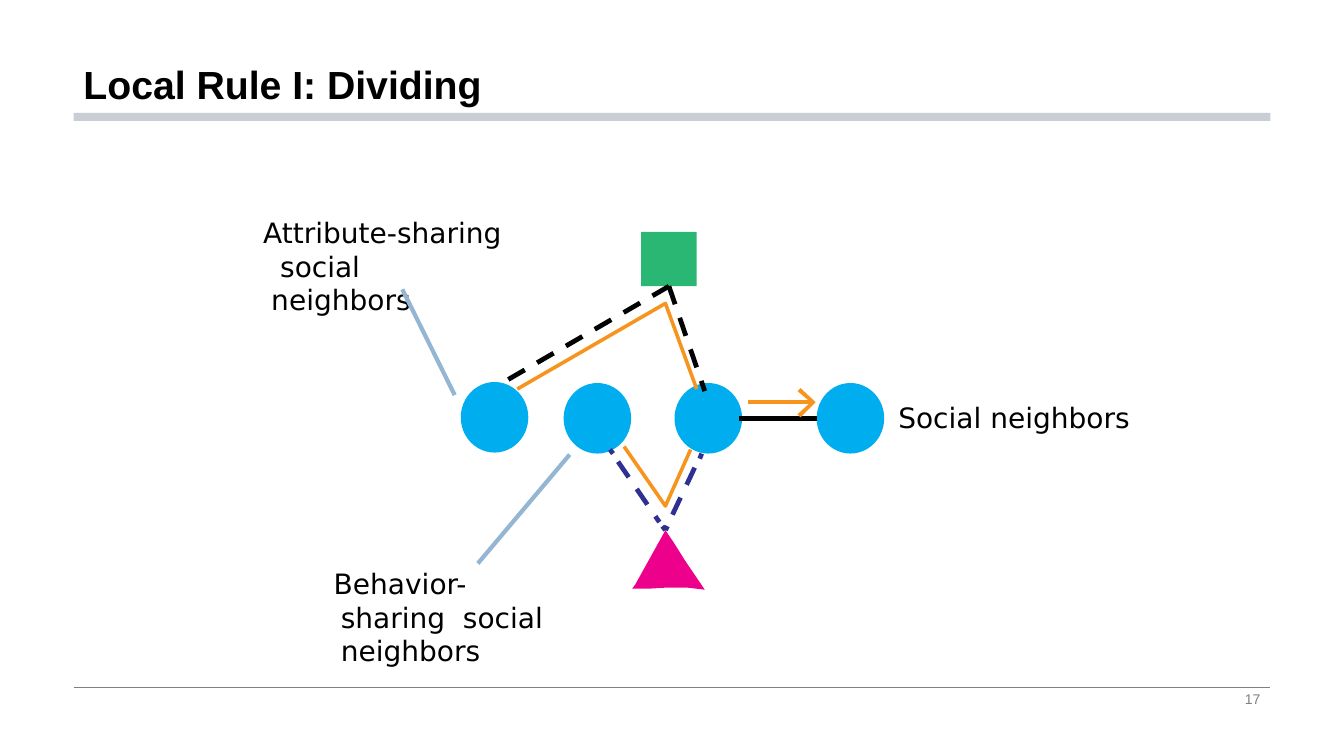
import pptx
import pptx.util
import pptx.dml.color
import pptx.enum.shapes
import pptx.enum.text
import pptx.enum.dml
import pptx.oxml.ns
import lxml.etree

Inches = pptx.util.Inches
Pt = pptx.util.Pt
Shape = pptx.enum.shapes.MSO_SHAPE
Align = pptx.enum.text.PP_ALIGN
Anchor = pptx.enum.text.MSO_ANCHOR

COLORS = {
    "black": "000000",
    "gray": "808080",
    "bar": "C9CED5",
    "person": "00AEEF",
    "trait": "2AB673",
    "action": "EC008C",
    "link": "010202",
    "habit": "2E3092",
    "route": "F7941D",
    "callout": "94B6D2",
}
GAP = chr(160)


def color(name):
    return pptx.dml.color.RGBColor.from_string(COLORS[name])


def paint(shape, fill):
    shape.shadow.inherit = False
    shape.fill.solid()
    shape.fill.fore_color.rgb = color(fill)
    shape.line.fill.background()
    return shape


def block(slide, kind, box, fill):
    shape = slide.shapes.add_shape(kind, *[Inches(v) for v in box])
    return paint(shape, fill)


def line(slide, start, end, hue, width, dash=False):
    ends = [Inches(v) for v in (*start, *end)]
    link = slide.shapes.add_connector(pptx.enum.shapes.MSO_CONNECTOR.STRAIGHT, *ends)
    link.line.color.rgb = color(hue)
    link.line.width = Pt(width)
    if dash:
        link.line.dash_style = pptx.enum.dml.MSO_LINE.DASH
    lxml.etree.SubElement(link._element.spPr, pptx.oxml.ns.qn("a:effectLst"))
    return link


def outline(slide, points, close):
    spots = [(Inches(x), Inches(y)) for x, y in points]
    builder = slide.shapes.build_freeform(*spots[0], scale=1.0)
    builder.add_line_segments(spots[1:], close=close)
    return builder.convert_to_shape()


def bent(slide, points, hue, width):
    shape = outline(slide, points, False)
    shape.shadow.inherit = False
    shape.fill.background()
    shape.line.color.rgb = color(hue)
    shape.line.width = Pt(width)


def text(slide, box, parts, size, font, hue="black", bold=False,
         align=Align.LEFT, anchor=Anchor.TOP, inset=None, indent=None):
    shape = slide.shapes.add_textbox(*[Inches(v) for v in box])
    frame = shape.text_frame
    frame.word_wrap = True
    frame.vertical_anchor = anchor
    if inset is not None:
        frame.margin_left = frame.margin_right = frame.margin_bottom = 0
        frame.margin_top = Inches(inset)
    para = frame.paragraphs[0]
    para.alignment = align
    if indent:
        props = para._p.get_or_add_pPr()
        props.set("marL", str(Inches(indent[0])))
        props.set("indent", str(Inches(indent[1])))
    for part in parts:
        run = para.add_run()
        run.text = part
        run.font.size = Pt(size)
        run.font.name = font
        run.font.bold = bold
        run.font.color.rgb = color(hue)
    return para


def header(slide, box):
    x, y, w, h = box
    para = text(slide, box, ["Local ", "Rule ", "I: ", "Dividing"], 28, "Arial",
                bold=True, anchor=Anchor.BOTTOM)
    para.line_spacing = 0.9
    block(slide, Shape.RECTANGLE, (x, y + h, w, 0.08), "bar")


def footer(slide, box):
    x, y, w, h = box
    line(slide, (x, y), (x + w, y), "gray", 0.5)
    text(slide, (x + w - 3.18, y, 3.18, h), ["17"], 10, "Arial", "gray",
         align=Align.RIGHT, anchor=Anchor.MIDDLE)


def label(slide, box, parts, indent, pointer=None):
    x, y, w, h = box
    text(slide, box, parts, 20, "DejaVu Sans", inset=0.02, indent=indent)
    if pointer:
        start, end = [(x + dx, y + dy) for dx, dy in pointer]
        line(slide, start, end, "callout", 3)


def graph(slide, box):
    left, top = box[:2]

    def at(*points):
        return [(left + x, top + y) for x, y in points]

    for spot in at((0, 1.49), (1.02, 1.5), (2.12, 1.5), (3.53, 1.5)):
        block(slide, Shape.OVAL, (*spot, 0.67, 0.7), "person")
    trait = block(slide, Shape.RECTANGLE, (left + 1.79, top, 0.55, 0.54), "trait")
    for end in ((0.41, 1.5), (2.42, 1.58)):
        link = line(slide, *at((2.07, 0.54), end), "link", 3.4, True)
        link.begin_connect(trait, 2)
    line(slide, *at((2.76, 1.85), (3.53, 1.85)), "link", 3.4)

    paint(outline(slide, at((2.03, 2.96), (1.73, 3.5), (1.7, 3.54), (1.87, 3.54),
                            (2.03, 3.53), (2.25, 3.53), (2.42, 3.55), (2.23, 3.27),
                            (2.11, 3.08)), True), "action")
    habits = [
        ((1.48, 2.16), (1.51, 2.2), False),
        ((1.56, 2.28), (1.97, 2.88), True),
        ((2, 2.92), (2.03, 2.96), False),
        ((2.39, 2.2), (2.37, 2.25), False),
        ((2.32, 2.34), (2.07, 2.87), True),
        ((2.05, 2.92), (2.03, 2.96), False),
    ]
    for start, end, dash in habits:
        line(slide, *at(start, end), "habit", 3.38, dash)

    line(slide, *at((2.85, 1.69), (3.48, 1.69)), "route", 2.55)
    paint(outline(slide, at((3.37, 1.55), (3.34, 1.58), (3.47, 1.69),
                            (3.34, 1.81), (3.37, 1.84), (3.52, 1.69)), True), "route")
    bent(slide, at((2.34, 1.56), (2.03, 0.71), (0.56, 1.56)), "route", 2.55)
    bent(slide, at((2.28, 2.16), (2.03, 2.72), (1.62, 2.13)), "route", 2.55)


def main():
    deck = pptx.Presentation()
    deck.slide_width = Inches(13.33)
    deck.slide_height = Inches(7.5)
    slide = deck.slides.add_slide(deck.slide_layouts[6])
    footer(slide, (0.73, 6.82, 11.87, 0.23))
    header(slide, (0.73, 0, 11.87, 1.12))
    graph(slide, (4.57, 2.3, 4.2, 3.55))
    label(slide, (8.9, 3.95, 2.4, 0.36), ["Social neighbors"], (0.01, 0))
    tail = ["social ", "neighbors"]
    label(slide, (3.3, 5.6, 2.35, 1.03), ["Behavior-sharing " + GAP] + tail,
          (0.08, -0.07), ((1.44, -0.01), (2.35, -1.09)))
    label(slide, (2.59, 2.12, 2.42, 1.03), ["Attribute-sharing " + GAP] + tail,
          (0.1, -0.08), ((1.4, 0.75), (1.92, 1.8)))
    deck.save("out.pptx")


if __name__ == "__main__":
    main()
